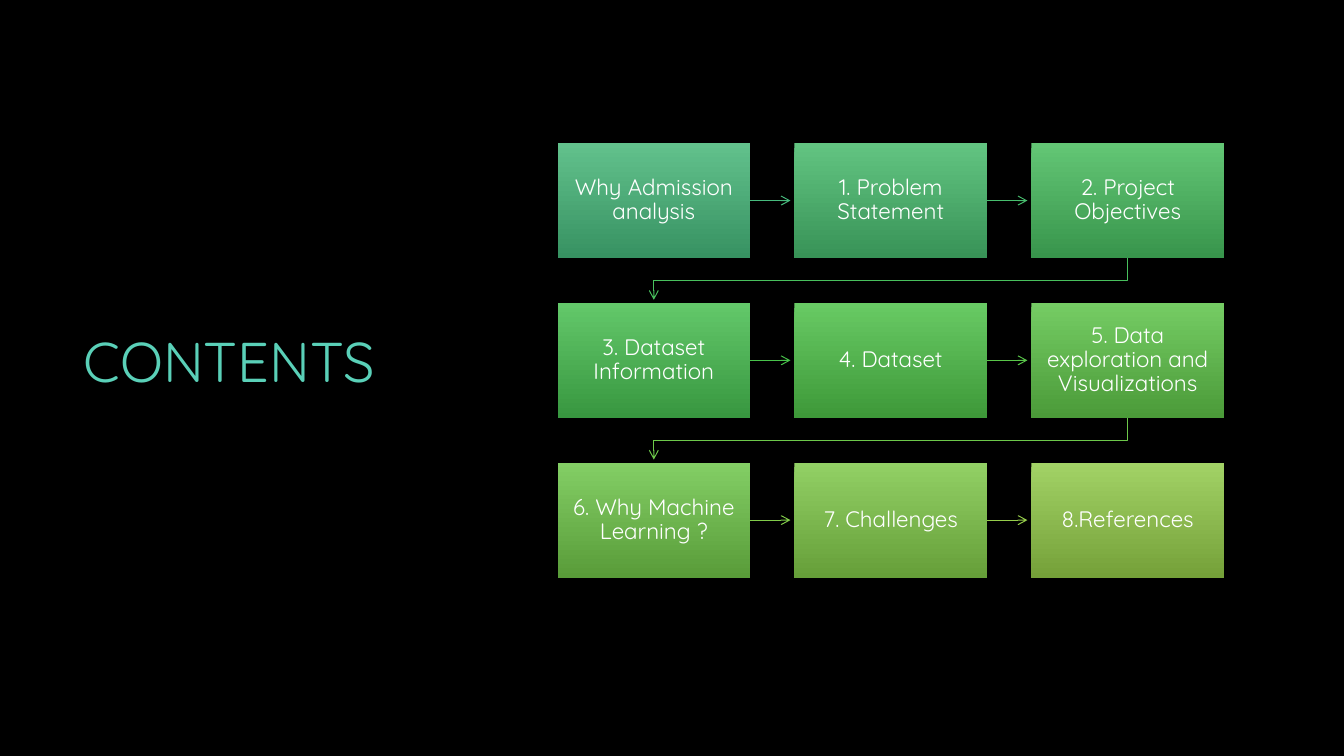
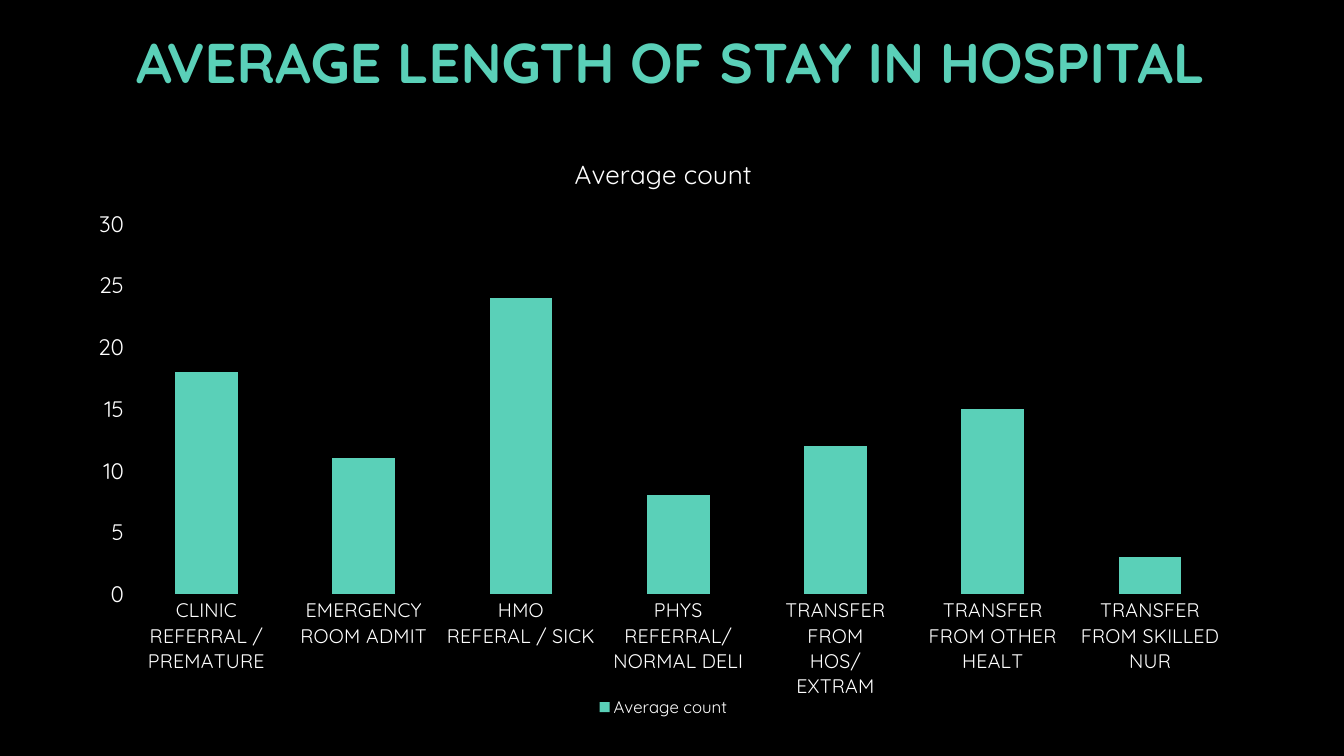
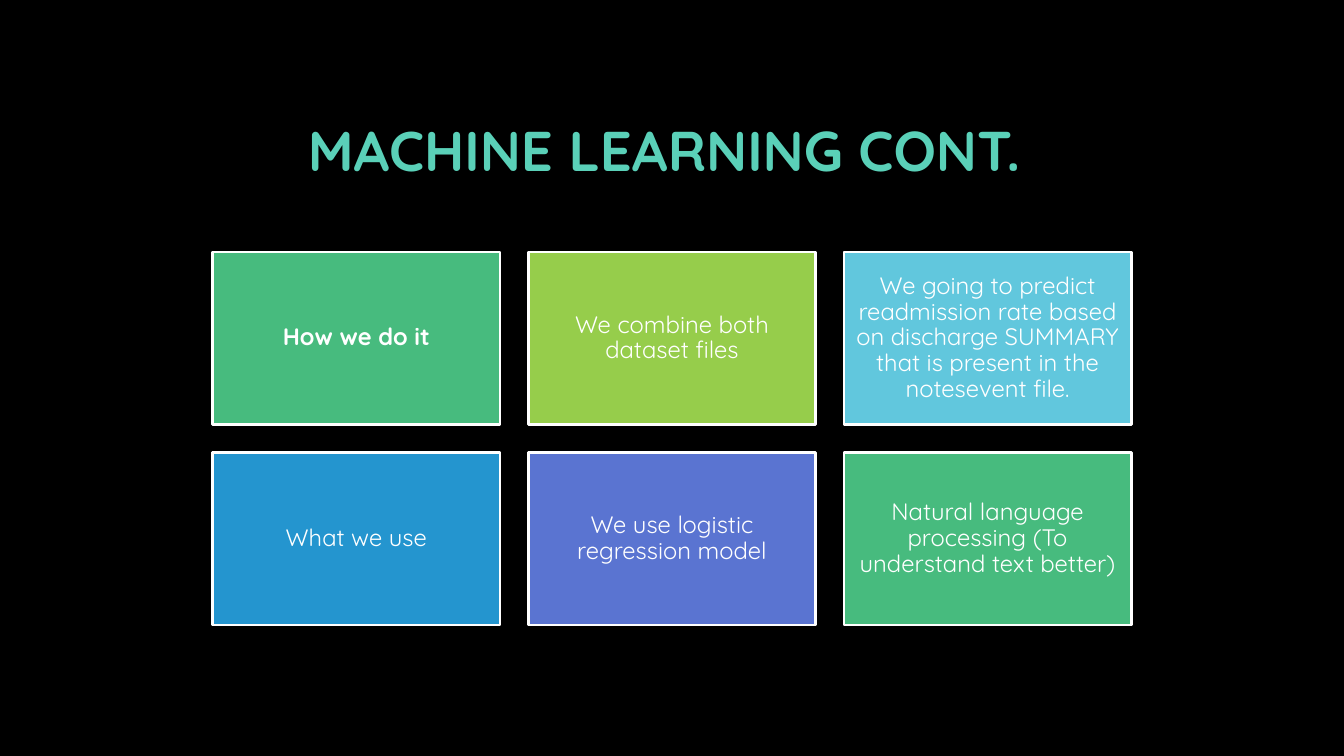
from dataclasses import dataclass

from lxml import etree
from pptx import Presentation
from pptx.chart.data import CategoryChartData
from pptx.dml.color import RGBColor
from pptx.enum.chart import XL_CHART_TYPE, XL_LEGEND_POSITION, XL_TICK_MARK
from pptx.enum.shapes import MSO_CONNECTOR, MSO_SHAPE
from pptx.enum.text import MSO_ANCHOR, MSO_AUTO_SIZE, PP_ALIGN
from pptx.oxml import parse_xml
from pptx.oxml.ns import nsdecls, qn
from pptx.util import Inches, Pt

COLUMN = XL_CHART_TYPE.COLUMN_CLUSTERED
LEGEND_BOTTOM = XL_LEGEND_POSITION.BOTTOM
NO_TICK = XL_TICK_MARK.NONE
STRAIGHT = MSO_CONNECTOR.STRAIGHT
RECTANGLE = MSO_SHAPE.RECTANGLE
MIDDLE = MSO_ANCHOR.MIDDLE
NO_AUTOFIT = MSO_AUTO_SIZE.NONE
LEFT, CENTER = PP_ALIGN.LEFT, PP_ALIGN.CENTER
RIGHT_SIDE = 3
TITLE_ONLY = 5


@dataclass(frozen=True)
class Theme:
    font: str = "Quicksand"
    background: str = "000000"
    text: str = "FFFFFF"
    accent: str = "5AD0B8"
    green: str = "47BB7E"
    lime: str = "96CD4B"
    cyan: str = "61C7DD"
    blue: str = "2495CF"
    violet: str = "5A74D1"
    title_size: float = 40
    step_size: float = 16
    card_size: float = 17
    chart_title_size: float = 18.6
    value_size: float = 16
    category_size: float = 14
    legend_size: float = 12
    chart_size: float = 10


THEME = Theme()

STEPS = [
    ("Why Admission analysis", "62C18C", "379262", "47BB7E"),
    ("1. Problem Statement", "62C481", "389357", "47BE6E"),
    ("2. Project Objectives", "63C675", "38954C", "48C05D"),
    ("3. Dataset Information", "63C86A", "389740", "48C34B"),
    ("4. Dataset", "68CA64", "3E9939", "59C649"),
    ("5. Data exploration and Visualizations", "75CC64", "4B9B39", "6DC84A"),
    ("6. Why Machine Learning ?", "83CE65", "599C39", "81CB4A"),
    ("7. Challenges", "92D065", "669F39", "96CD4B"),
    ("8.References", "A2D266", "75A139", None),
]

STAYS = [
    ("CLINIC REFERRAL / PREMATURE", 18),
    ("EMERGENCY ROOM ADMIT", 11),
    ("HMO REFERAL / SICK", 24),
    ("PHYS REFERRAL/NORMAL DELI", 8),
    ("TRANSFER FROM HOS/EXTRAM", 12),
    ("TRANSFER FROM OTHER HEALT", 15),
    ("TRANSFER FROM SKILLED NUR", 3),
]

CARDS = [
    ("How we do it", THEME.green, True),
    ("We combine both dataset files", THEME.lime, False),
    ("We going to predict readmission rate based on discharge SUMMARY "
     "that is present in the notesevent file.", THEME.cyan, False),
    ("What we use", THEME.blue, False),
    ("We use logistic regression model", THEME.violet, False),
    ("Natural language processing (To understand text better)",
     THEME.green, False),
]


def rgb(color):
    return RGBColor.from_string(color)


def style_font(font, size, color=THEME.text, bold=False):
    font.name = THEME.font
    font.size = Pt(size)
    font.bold = bold
    font.color.rgb = rgb(color)


def write_text(frame, text, size, color=THEME.text, bold=False, align=CENTER,
               spacing=None):
    para = frame.paragraphs[0]
    para.alignment = align
    para.line_spacing = spacing
    span = para.add_run()
    span.text = text
    style_font(span.font, size, color, bold)


def add_page(deck, title, place, bold=True, align=LEFT):
    page = deck.slides.add_slide(deck.slide_layouts[TITLE_ONLY])
    box = page.shapes.title
    box.left, box.top, box.width, box.height = map(Inches, place)
    frame = box.text_frame
    frame.word_wrap = True
    frame.auto_size = NO_AUTOFIT
    frame.vertical_anchor = MIDDLE
    write_text(frame, title, THEME.title_size, THEME.accent, bold, align)
    return page


def add_box(page, text, place, size, inset, bold=False):
    box = page.shapes.add_shape(RECTANGLE, *map(Inches, place))
    box.shadow.inherit = False
    frame = box.text_frame
    frame.word_wrap = True
    frame.vertical_anchor = MIDDLE
    frame.margin_left = frame.margin_right = Inches(inset)
    frame.margin_top = frame.margin_bottom = Inches(inset)
    write_text(frame, text, size, bold=bold, spacing=0.9)
    return box


def fill_gradient(box, top_color, bottom_color):
    box.fill.gradient()
    box.fill.gradient_angle = 270
    for stop, color in zip(box.fill.gradient_stops, (top_color, bottom_color)):
        stop.color.rgb = rgb(color)
    box.line.fill.background()


def style_arrow(arrow, color):
    arrow.line.color.rgb = rgb(color)
    arrow.line.width = Pt(0.75)
    properties = arrow.element.spPr
    etree.SubElement(properties.find(qn("a:ln")), qn("a:tailEnd"), type="arrow")
    etree.SubElement(properties, qn("a:effectLst"))


def add_side_arrow(page, source, target, color):
    middle = source.top + source.height // 2
    arrow = page.shapes.add_connector(
        STRAIGHT, source.left + source.width, middle,
        target.left - Inches(0.04), middle)
    arrow.begin_connect(source, RIGHT_SIDE)
    style_arrow(arrow, color)


def add_row_arrow(page, source, target, color):
    start_x = source.left + source.width // 2
    end_x = target.left + target.width // 2
    bottom = source.top + source.height
    bend = (bottom + target.top) // 2
    outline = page.shapes.build_freeform(start_x, bottom)
    outline.add_line_segments(
        [(start_x, bend), (end_x, bend), (end_x, target.top - Inches(0.03))],
        close=False)
    arrow = outline.convert_to_shape()
    arrow.fill.background()
    style_arrow(arrow, color)


def grid_place(index, left, top, width, height, pitch_x, pitch_y):
    row, column = divmod(index, 3)
    return left + column * pitch_x, top + row * pitch_y, width, height


def fill_chart_part(parent, before=None):
    fill = parse_xml(
        f'<c:spPr {nsdecls("c", "a")}><a:solidFill>'
        f'<a:srgbClr val="{THEME.background}"/></a:solidFill>'
        '<a:ln><a:noFill/></a:ln></c:spPr>')
    if before is None:
        parent.append(fill)
    else:
        before.addnext(fill)


def style_axis(axis, size):
    axis.has_major_gridlines = False
    axis.major_tick_mark = NO_TICK
    axis.minor_tick_mark = NO_TICK
    axis.format.line.fill.background()
    style_font(axis.tick_labels.font, size)


def add_column_chart(page, name, rows, place):
    data = CategoryChartData()
    data.categories = [category for category, _ in rows]
    data.add_series(name, [value for _, value in rows])
    chart = page.shapes.add_chart(COLUMN, *map(Inches, place), data).chart
    style_font(chart.font, THEME.chart_size)

    chart.has_title = True
    write_text(chart.chart_title.text_frame, name, THEME.chart_title_size)
    chart.chart_title.include_in_layout = False
    chart.has_legend = True
    chart.legend.position = LEGEND_BOTTOM
    chart.legend.include_in_layout = False
    style_font(chart.legend.font, THEME.legend_size)

    style_axis(chart.category_axis, THEME.category_size)
    style_axis(chart.value_axis, THEME.value_size)
    chart.value_axis.minimum_scale = 0
    chart.value_axis.maximum_scale = 30
    chart.value_axis.major_unit = 5

    plot = chart.plots[0]
    plot.gap_width = 150
    plot.vary_by_categories = False
    columns = plot.series[0].format.fill
    columns.solid()
    columns.fore_color.rgb = rgb(THEME.accent)

    body = chart.element.find(qn("c:chart"))
    fill_chart_part(chart.element, before=body)
    fill_chart_part(body.find(qn("c:plotArea")))


def build_contents(deck):
    page = add_page(deck, "CONTENTS", (0.73, 1.56, 3.31, 4.02), bold=False)
    boxes = []
    for index, (text, top_color, bottom_color, _) in enumerate(STEPS):
        place = grid_place(index, 5.53, 1.42, 1.91, 1.14, 2.35, 3.17 / 2)
        box = add_box(page, text, place, THEME.step_size, 0.09)
        fill_gradient(box, top_color, bottom_color)
        boxes.append(box)
    for source, target, step in zip(boxes, boxes[1:], STEPS):
        same_row = source.top == target.top
        add_arrow = add_side_arrow if same_row else add_row_arrow
        add_arrow(page, source, target, step[-1])


def build_length_of_stay(deck):
    page = add_page(deck, "AVERAGE LENGTH OF STAY IN HOSPITAL",
                    (1.25, 0, 10.83, 1.22))
    add_column_chart(page, "Average count", STAYS, (0.74, 1.32, 11.68, 5.84))


def build_machine_learning(deck):
    page = add_page(deck, "MACHINE LEARNING CONT. ",
                    (1.25, 0.67, 10.83, 1.61), align=CENTER)
    for index, (text, color, bold) in enumerate(CARDS):
        place = grid_place(index, 2.11, 2.5, 2.85, 1.71, 3.13, 1.99)
        box = add_box(page, text, place, THEME.card_size, 0.07, bold)
        box.fill.solid()
        box.fill.fore_color.rgb = rgb(color)
        box.line.color.rgb = rgb(THEME.text)
        box.line.width = Pt(2)


def main():
    deck = Presentation()
    deck.slide_width = Inches(13.33)
    deck.slide_height = Inches(7.5)
    background = deck.slide_master.background.fill
    background.solid()
    background.fore_color.rgb = rgb(THEME.background)
    build_contents(deck)
    build_length_of_stay(deck)
    build_machine_learning(deck)
    deck.save("out.pptx")


if __name__ == "__main__":
    main()
